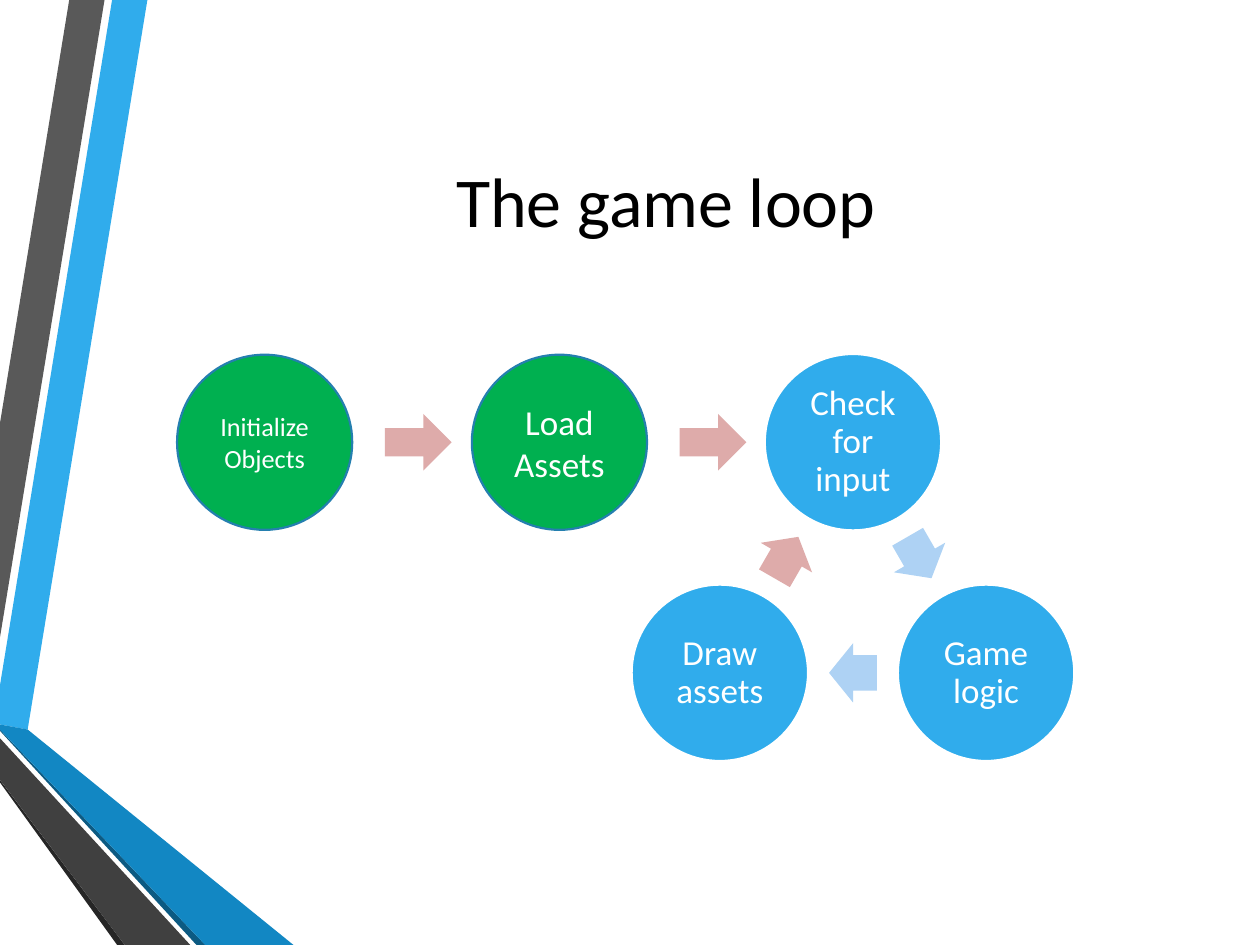
import math

import pptx
import pptx.dml.color
import pptx.enum.shapes
import pptx.enum.text
import pptx.util
from pptx.util import Inches

SHAPE = pptx.enum.shapes.MSO_SHAPE


class Theme:
    font = "Calibri"
    title_size, step_size, small_size = 40, 20, 15
    black, white = "000000", "FFFFFF"
    blue, deep_blue, dark_blue = "30ACEC", "1287C3", "0C5A82"
    gray, dark_gray, shade_gray = "595959", "404040", "262626"
    green, outline = "00B050", "247FAF"
    pink, pale_blue = "DEABAA", "AED2F4"


def rgb(color):
    return pptx.dml.color.RGBColor.from_string(color)


def write_text(frame, text, size, color, margin=None, spacing=None):
    """Put one centred paragraph in the middle of a text frame."""
    frame.word_wrap = True
    frame.vertical_anchor = pptx.enum.text.MSO_ANCHOR.MIDDLE
    if margin is not None:
        frame.margin_left = frame.margin_right = Inches(margin)
        frame.margin_top = frame.margin_bottom = Inches(margin)
    para = frame.paragraphs[0]
    para.alignment = pptx.enum.text.PP_ALIGN.CENTER
    para.line_spacing = spacing
    span = para.add_run()
    span.text = text
    span.font.name = Theme.font
    span.font.size = pptx.util.Pt(size)
    span.font.color.rgb = rgb(color)


class SlideBuilder:
    def __init__(self, page):
        self.page = page

    def paint(self, shape, fill, line=None):
        shape.shadow.inherit = False
        shape.fill.solid()
        shape.fill.fore_color.rgb = rgb(fill)
        if line:
            shape.line.color.rgb = rgb(line)
            shape.line.width = pptx.util.Pt(1.25)
        else:
            shape.line.fill.background()

    def title(self, text, left, top, width, height):
        box = self.page.shapes.title
        box.left, box.top = Inches(left), Inches(top)
        box.width, box.height = Inches(width), Inches(height)
        write_text(box.text_frame, text, Theme.title_size, Theme.black)

    def ribbon(self, points, fill):
        corners = [(Inches(x), Inches(y)) for x, y in points]
        builder = self.page.shapes.build_freeform(*corners[0])
        builder.add_line_segments(corners[1:], close=True)
        self.paint(builder.convert_to_shape(), fill)

    def centred_shape(self, kind, x, y, width, height, fill, line=None):
        shape = self.page.shapes.add_shape(
            kind, Inches(x - width / 2), Inches(y - height / 2),
            Inches(width), Inches(height))
        self.paint(shape, fill, line)
        return shape

    def circle(self, text, x, y, diameter, fill, line, size, **text_format):
        shape = self.centred_shape(SHAPE.OVAL, x, y, diameter, diameter, fill, line)
        write_text(shape.text_frame, text, size, Theme.white, **text_format)

    def arrow(self, x, y, width, height, fill, rotation=0, shaft=0.5):
        shape = self.centred_shape(SHAPE.RIGHT_ARROW, x, y, width, height, fill)
        shape.adjustments[0] = shaft
        shape.rotation = rotation


RIBBONS = [
    (Theme.blue, [(0, 5.44), (0, 5.75), (0.22, 5.79), (1.17, 0), (0.89, 0)]),
    (Theme.gray, [(0.83, 0), (0.55, 0), (0, 3.36), (0, 5.06)]),
    (Theme.shade_gray, [(0, 6.19), (0, 6.21), (0.93, 7.5), (0.99, 7.5)]),
    (Theme.dark_blue, [(0, 5.79), (0, 5.8), (1.56, 7.5), (1.63, 7.5)]),
    (Theme.deep_blue, [(0, 5.79), (1.63, 7.5), (2.33, 7.5), (0.22, 5.79), (0, 5.75)]),
    (Theme.dark_gray, [(0, 6.19), (0.99, 7.5), (1.51, 7.5), (0, 5.86)]),
]
SETUP_STEPS = [("Initialize Objects", Theme.small_size),
               ("Load Assets", Theme.step_size)]
LOOP_STEPS = [("Check for input", Theme.pale_blue),
              ("Game logic", Theme.pale_blue),
              ("Draw assets", Theme.pink)]


def draw_setup(builder):
    first_x, y, pitch = 2.1, 3.51, 2.34
    for index, (text, size) in enumerate(SETUP_STEPS):
        x = first_x + index * pitch
        builder.circle(text, x, y, 1.39, Theme.green, Theme.outline, size)
        builder.arrow(x + 1.22, y, 0.53, 0.45, Theme.pink)


def draw_loop(builder):
    """Place the steps clockwise on a ring, each followed by its arrow."""
    center_x, center_y, radius = 6.77, 4.73, 1.22
    turn = 360 / len(LOOP_STEPS)

    def ring_point(degrees, distance):
        angle = math.radians(degrees)
        return (center_x + distance * math.sin(angle),
                center_y - distance * math.cos(angle))

    for index, (text, arrow_color) in enumerate(LOOP_STEPS):
        bearing = index * turn
        builder.circle(text, *ring_point(bearing, radius), 1.4, Theme.blue,
                       Theme.white, Theme.step_size, margin=0.03, spacing=0.9)
        halfway = bearing + turn / 2
        chord_distance = radius * math.cos(math.radians(turn / 2))
        builder.arrow(*ring_point(halfway, chord_distance), 0.38, 0.47,
                      arrow_color, rotation=halfway, shaft=0.6)


def main():
    deck = pptx.Presentation()
    deck.slide_width, deck.slide_height = Inches(10), Inches(7.5)
    title_only = deck.slide_layouts[5]
    builder = SlideBuilder(deck.slides.add_slide(title_only))
    for fill, points in RIBBONS:
        builder.ribbon(points, fill)
    builder.title("The game loop", 1.07, 0.5, 8.43, 2.17)
    draw_loop(builder)
    draw_setup(builder)
    deck.save("out.pptx")


if __name__ == "__main__":
    main()
